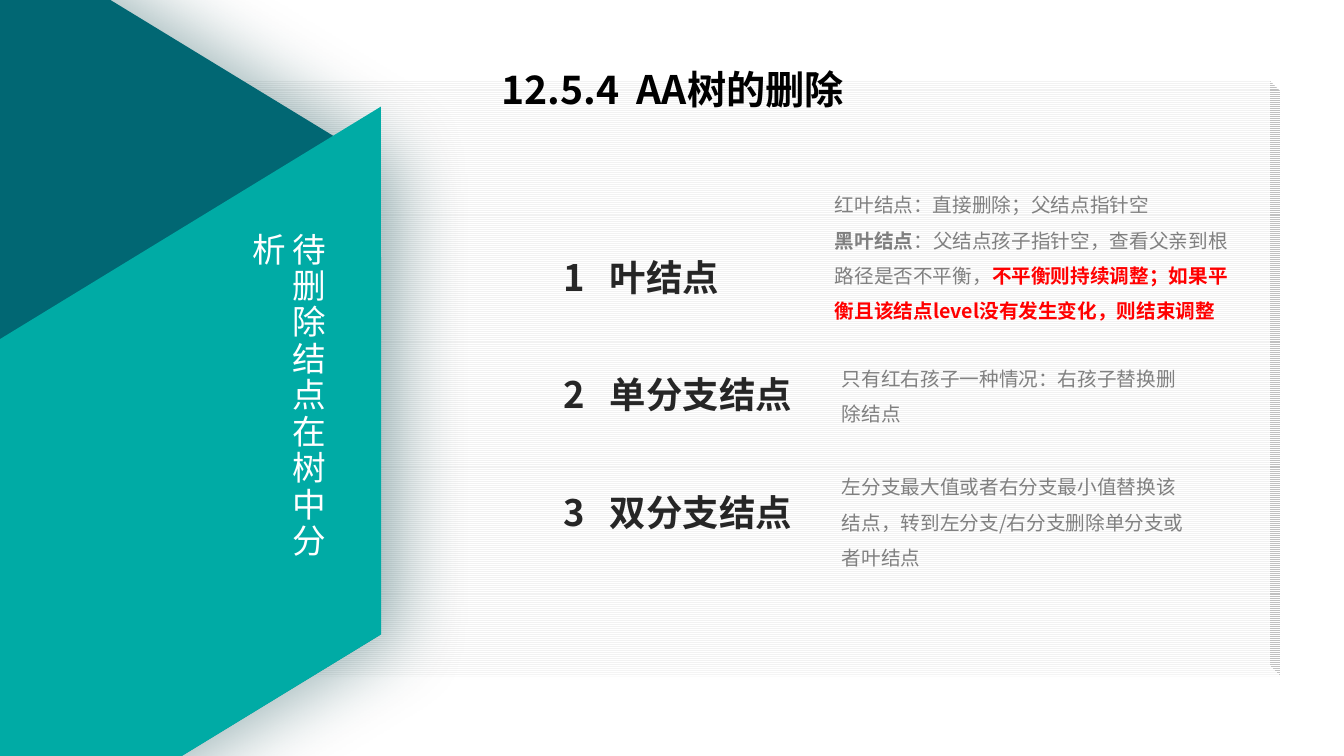
from lxml import etree
from pptx import Presentation
from pptx.dml.color import RGBColor
from pptx.enum.dml import MSO_PATTERN
from pptx.enum.shapes import MSO_SHAPE
from pptx.enum.text import MSO_ANCHOR, MSO_AUTO_SIZE, PP_ALIGN
from pptx.oxml.ns import qn
from pptx.util import Inches, Pt

CJK_FONT = "Noto Sans CJK SC"
GREY, RED = "808080", "FF0000"

CASES = ["1   叶结点", "2   单分支结点", "3   双分支结点"]

# Each explanation: box, then paragraphs made of (text, bold, colour) runs.
EXPLANATIONS = [
    ((8.28, 1.8, 4.07, 1.41), [
        [("红叶结点：直接删除；父结点指针空", False, GREY)],
        [("黑叶结点", True, GREY),
         ("：父结点孩子指针空，查看父亲到根路径是否不平衡，", False, GREY),
         ("不平衡则持续调整；如果平衡且该结点level没有发生变化，则结束调整", True, RED)],
    ]),
    ((8.35, 3.52, 3.49, 0.71), [
        [("只有红右孩子一种情况：右孩子替换删除结点", False, GREY)],
    ]),
    ((8.35, 4.6, 3.49, 1.06), [
        [("左分支最大值或者右分支最小值替换该结点，转到左分支/右分支删除单分支或者叶结点",
          False, GREY)],
    ]),
]


def color(value):
    return RGBColor.from_string(value)


def place(shape, box):
    shape.left, shape.top, shape.width, shape.height = map(Inches, box)


def bring_to_front(shape):
    shape.element.getparent().append(shape.element)


def set_margins(frame, left, top, right, bottom):
    frame.margin_left, frame.margin_top = Inches(left), Inches(top)
    frame.margin_right, frame.margin_bottom = Inches(right), Inches(bottom)


def style_paragraph(paragraph, size, value, bold=None, name=CJK_FONT):
    """Set the paragraph font for Latin and East Asian text; return its XML."""
    font = paragraph.font
    font.size, font.bold, font.name = Pt(size), bold, name
    font.color.rgb = color(value)
    properties = paragraph._p.pPr.find(qn("a:defRPr"))
    etree.SubElement(properties, qn("a:ea")).set("typeface", name)
    return properties


def add_plain_shape(slide, kind, box, adjustments, rotation=0):
    shape = slide.shapes.add_shape(kind, *map(Inches, box))
    for index, adjustment in enumerate(adjustments):
        shape.adjustments[index] = adjustment
    shape.rotation = rotation
    shape.line.fill.background()
    shape.shadow.inherit = False
    return shape


def add_shadow(shape, value, opacity, blur, distance):
    effects = shape._element.spPr.find(qn("a:effectLst"))
    shadow = etree.SubElement(effects, qn("a:outerShdw"), blurRad=str(Pt(blur)),
                              dist=str(Pt(distance)), dir="0", algn="l", rotWithShape="0")
    shade = etree.SubElement(shadow, qn("a:srgbClr"), val=value)
    etree.SubElement(shade, qn("a:alpha"), val=str(opacity * 1000))


def add_panel(slide, box):
    panel = add_plain_shape(slide, MSO_SHAPE.CUBE, box, [0.018])
    panel._element.spPr.find(qn("a:xfrm")).set("flipV", "1")
    panel.fill.patterned()
    panel.fill.pattern = MSO_PATTERN.LIGHT_HORIZONTAL
    panel.fill.fore_color.rgb = color("F2F2F2")
    panel.fill.back_color.rgb = color("FFFFFF")


def add_side_banner(slide, left, top):
    hexagon = add_plain_shape(slide, MSO_SHAPE.HEXAGON, (left, top, 10.46, 9.51),
                              [0.305, 1.155], 90)
    hexagon.fill.gradient()
    hexagon.fill.gradient_angle = 270
    for stop, (position, value) in zip(hexagon.fill.gradient_stops,
                                       [(0.77, "016773"), (1, "007684")]):
        stop.position = position
        stop.color.rgb = color(value)
    add_shadow(hexagon, "013F45", opacity=40, blur=55, distance=13)

    fold = add_plain_shape(slide, MSO_SHAPE.PARALLELOGRAM,
                           (left + 3.47, top + 3.68, 8.29, 4.47), [0.61], 328.6)
    fold.fill.solid()
    fold.fill.fore_color.rgb = color("00ABA5")


def fill_case_list(placeholder, box):
    place(placeholder, box)
    frame = placeholder.text_frame
    set_margins(frame, 0.1, 0, 0.1, 0.05)
    frame.auto_size = MSO_AUTO_SIZE.SHAPE_TO_FIT_TEXT
    frame.text = "\n".join(CASES)
    for paragraph in frame.paragraphs:
        paragraph.line_spacing, paragraph.space_before = 2.5, Pt(6)
        properties = paragraph._p.get_or_add_pPr()
        properties.set("marL", "0")
        properties.set("indent", "0")
        etree.SubElement(properties, qn("a:buNone"))
        style_paragraph(paragraph, 26, "262626", True)
    bring_to_front(placeholder)


def add_vertical_heading(slide, box):
    frame = slide.shapes.add_textbox(*map(Inches, box)).text_frame
    frame.word_wrap = True
    frame.auto_size = MSO_AUTO_SIZE.SHAPE_TO_FIT_TEXT
    frame._txBody.bodyPr.set("vert", "eaVert")
    frame.text = "待删除结点在树中分析"
    style_paragraph(frame.paragraphs[0], 24, "FFFFFF", name="Arial").set("spc", "200")


def fill_title(title, box):
    place(title, box)
    frame = title.text_frame
    frame.vertical_anchor = MSO_ANCHOR.MIDDLE
    frame.text = "12.5.4  AA树的删除"
    paragraph = frame.paragraphs[0]
    paragraph.alignment, paragraph.line_spacing = PP_ALIGN.CENTER, 0.9
    style_paragraph(paragraph, 28, "000000", True)
    bring_to_front(title)


def add_explanation(slide, box, paragraphs):
    frame = slide.shapes.add_textbox(*map(Inches, box)).text_frame
    frame.word_wrap = True
    frame.auto_size = MSO_AUTO_SIZE.SHAPE_TO_FIT_TEXT
    set_margins(frame, 0, 0, 0, 0)
    for index, runs in enumerate(paragraphs):
        paragraph = frame.add_paragraph() if index else frame.paragraphs[0]
        paragraph.line_spacing = 1.5
        style_paragraph(paragraph, 14, GREY)
        for text, bold, value in runs:
            run = paragraph.add_run()
            run.text = text
            if bold:
                run.font.bold = True
            if value != GREY:
                run.font.color.rgb = color(value)


def main():
    presentation = Presentation()
    presentation.slide_width, presentation.slide_height = Inches(13.33), Inches(7.5)
    slide = presentation.slides.add_slide(presentation.slide_layouts[1])
    add_panel(slide, (0, 0.8, 12.7, 5.91))
    add_side_banner(slide, -6.21, -0.79)
    fill_case_list(slide.placeholders[1], (5.49, 1.88, 4.79, 4.24))
    add_vertical_heading(slide, (2.71, 2.21, 0.6, 3.75))
    fill_title(slide.shapes.title, (0.92, 0.4, 11.5, 1.02))
    for box, paragraphs in EXPLANATIONS:
        add_explanation(slide, box, paragraphs)
    presentation.save("out.pptx")


if __name__ == "__main__":
    main()
